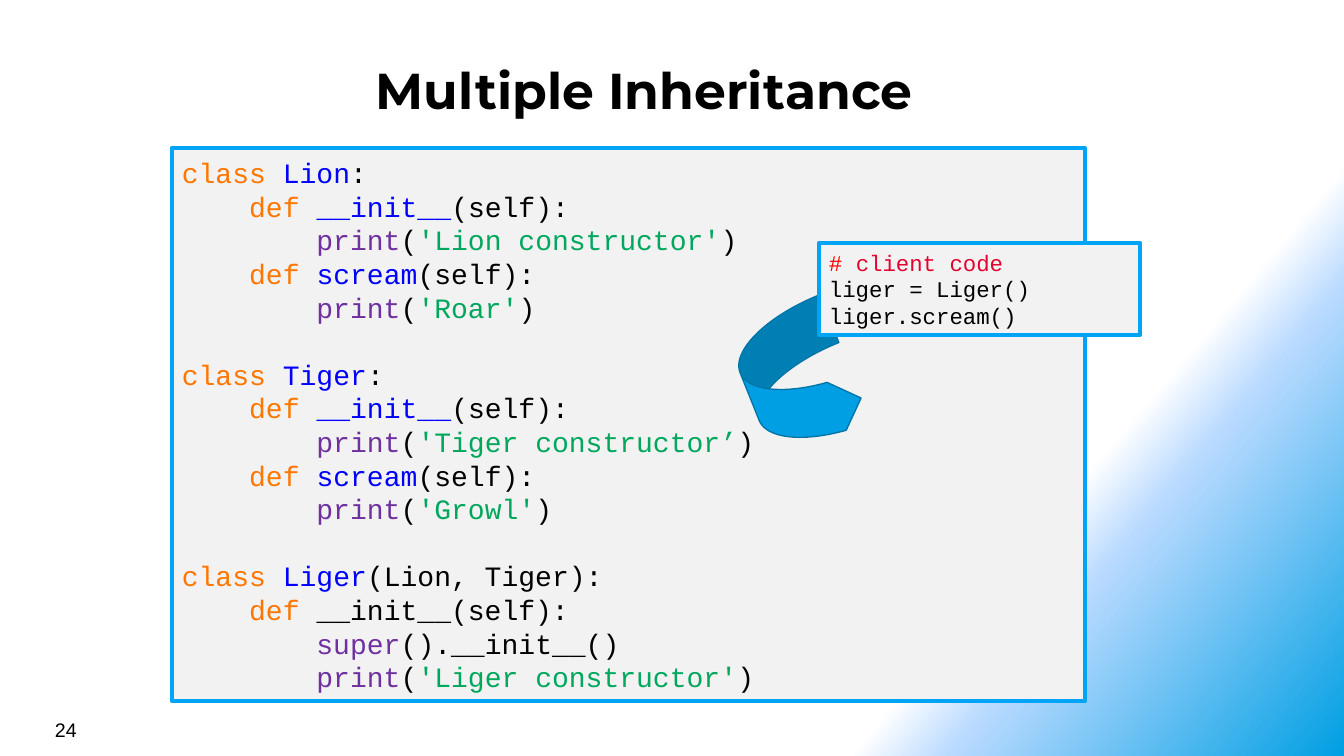
from dataclasses import dataclass
from lxml.etree import SubElement
from pptx import Presentation
from pptx.dml.color import RGBColor
from pptx.enum.shapes import MSO_SHAPE
from pptx.enum.text import MSO_ANCHOR, PP_ALIGN
from pptx.oxml.ns import qn
from pptx.util import Emu, Pt


@dataclass(frozen=True)
class Theme:
    black: str = "000000"
    key: str = "FF7700"
    name: str = "0000FF"
    call: str = "7030A0"
    text: str = "00A75D"
    hash: str = "FF0000"
    note: str = "E4032E"
    panel: str = "F2F2F2"
    frame: str = "00A4F6"
    arrow: str = "009FE3"
    edge: str = "0076A8"
    head: int = 36
    code: int = 20
    small: int = 16
    page: int = 14


T = Theme()
SCALE = 914400 / 100.8


def px(*sizes):
    return [Emu(round(size * SCALE)) for size in sizes]


def write(para, parts, size, font, bold=False):
    para.font.size = Pt(size)
    for words, color in parts:
        run = para.add_run()
        run.text = words
        run.font.name = font
        run.font.size = Pt(size)
        run.font.bold = bold
        run.font.color.rgb = RGBColor.from_string(color)


deck = Presentation()
deck.slide_width, deck.slide_height = px(1344, 756)
slide = deck.slides.add_slide(deck.slide_layouts[6])

fill = slide.background.fill
fill.gradient()
grad = slide.background._cSld.find(".//" + qn("a:gradFill"))
stops = grad.find(qn("a:gsLst"))
for stop in list(stops):
    stops.remove(stop)
for place, color in [(75, "FFFFFF"), (80, "B9DAFF"), (100, T.arrow)]:
    stop = SubElement(stops, qn("a:gs"), pos=str(place * 1000))
    SubElement(stop, qn("a:srgbClr"), val=color)
slope = grad.find(qn("a:lin"))
slope.set("ang", str(40 * 60000))
slope.set("scaled", "0")

title = slide.shapes.add_textbox(*px(26, 51, 1236, 55)).text_frame
title.word_wrap = True
title.margin_left, title.margin_top, title.margin_right, title.margin_bottom = px(8, 8, 8, 8)
title.paragraphs[0].alignment = PP_ALIGN.CENTER
write(title.paragraphs[0], [("Multiple Inheritance", T.black)], T.head, "Montserrat", True)

page = slide.shapes.add_textbox(*px(45, 713, 313, 33)).text_frame
page.word_wrap = True
write(page.paragraphs[0], [("24", T.black)], T.page, "Arial")

STEP = "    "
init = [(STEP + "def ", T.key), ("__init__", T.name), ("(self):", T.black)]
scream = [(STEP + "def ", T.key), ("scream", T.name), ("(self):", T.black)]
echo = [(STEP * 2 + "print", T.call), ("(", T.black)]
close = [(")", T.black)]

lines = []
for beast, built, sound in [
    ("Lion", "'Lion constructor'", "'Roar'"),
    ("Tiger", "'Tiger constructor’", "'Growl'"),
]:
    lines += [
        [("class ", T.key), (beast, T.name), (":", T.black)],
        init,
        echo + [(built, T.text)] + close,
        scream,
        echo + [(sound, T.text)] + close,
        [],
    ]
lines += [
    [("class ", T.key), ("Liger", T.name), ("(Lion, Tiger):", T.black)],
    [(STEP + "def", T.key), (" __init__(self):", T.black)],
    [(STEP * 2 + "super", T.call), ("().__init__()", T.black)],
    echo + [("'Liger constructor'", T.text)] + close,
]
client = [
    [("# ", T.hash), ("client code", T.note)],
    [("liger = Liger()", T.black)],
    [("liger.scream()", T.black)],
]

square, bend = MSO_SHAPE.RECTANGLE, MSO_SHAPE.CURVED_DOWN_ARROW
for kind, box, paint, edge, width, rows, size in [
    (square, (172, 148, 913, 553), T.panel, T.frame, 3, lines, T.code),
    (bend, (729, 326, 137, 103), T.arrow, T.edge, 1, [], T.code),
    (square, (819, 243, 321, 92), T.panel, T.frame, 3, client, T.small),
]:
    shape = slide.shapes.add_shape(kind, *px(*box))
    shape.shadow.inherit = False
    shape.fill.solid()
    shape.fill.fore_color.rgb = RGBColor.from_string(paint)
    shape.line.color.rgb = RGBColor.from_string(edge)
    shape.line.width = Pt(width)
    if kind == bend:
        shape.rotation = 68.2
        shape._element.spPr.find(qn("a:xfrm")).set("flipV", "1")
        for spot, value in enumerate((0.5, 0.5, 0.25)):
            shape.adjustments[spot] = value
    frame = shape.text_frame
    frame.word_wrap = True
    frame.vertical_anchor = MSO_ANCHOR.MIDDLE
    for spot, parts in enumerate(rows):
        para = frame.add_paragraph() if spot else frame.paragraphs[0]
        para.alignment = PP_ALIGN.LEFT
        para.line_spacing = Pt(size * 1.2)
        write(para, parts, size, "Courier New")

deck.save("out.pptx")
